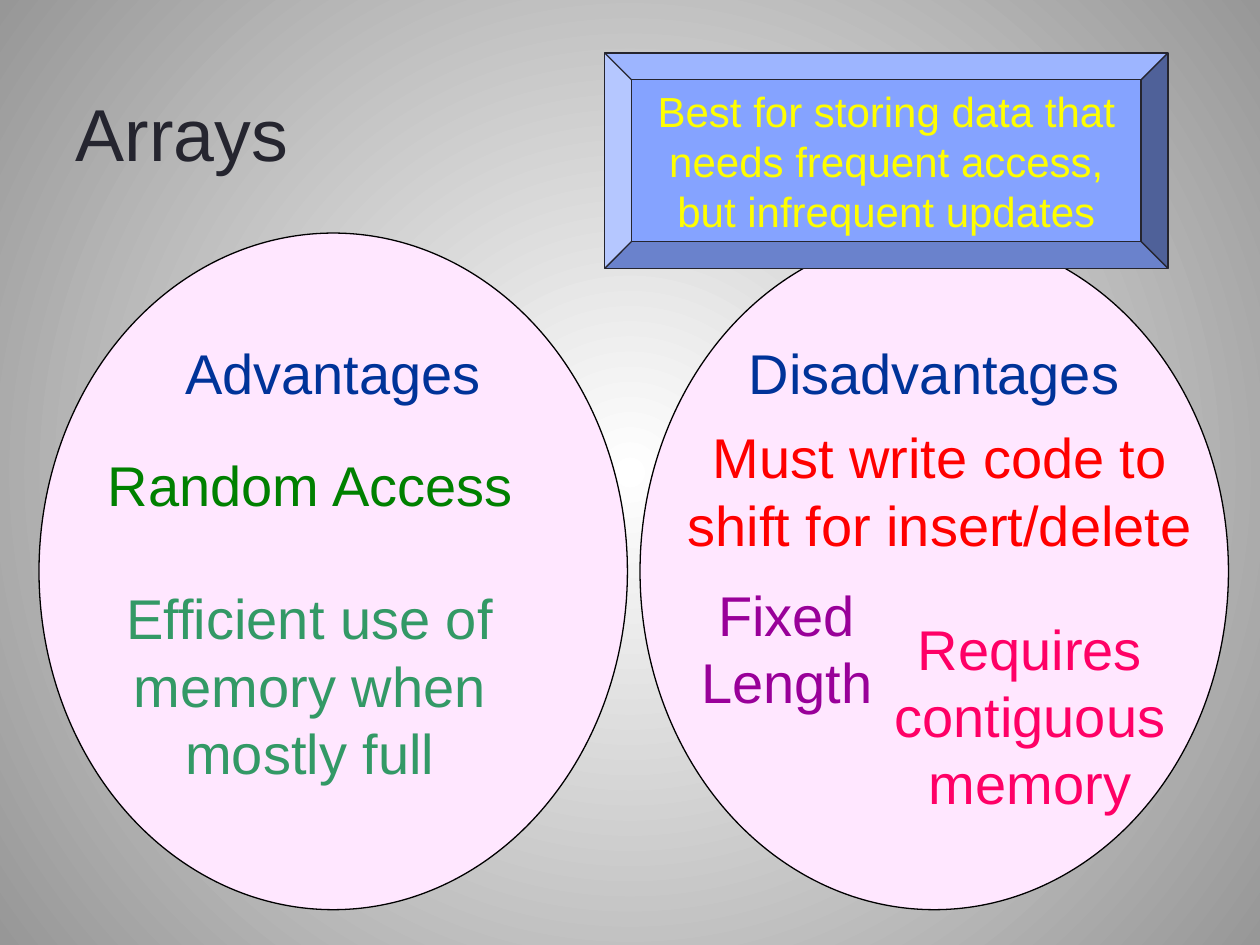
from lxml import etree
from pptx import Presentation
from pptx.dml.color import RGBColor
from pptx.enum.shapes import MSO_SHAPE
from pptx.enum.text import MSO_ANCHOR, PP_ALIGN
from pptx.oxml.ns import qn
from pptx.util import Inches, Pt

ELLIPSE, ROUNDED, BEVEL = MSO_SHAPE.OVAL, MSO_SHAPE.ROUNDED_RECTANGLE, MSO_SHAPE.BEVEL
TOP, MIDDLE = MSO_ANCHOR.TOP, MSO_ANCHOR.MIDDLE
LEFT, CENTER = PP_ALIGN.LEFT, PP_ALIGN.CENTER

COLORS = {
    "center": "FFFFFF", "edge": "979797", "ink": "25252F", "black": "000000",
    "lilac": "FFE7FF", "navy": "003399", "green": "008000", "sea": "339966",
    "red": "FF0000", "pink": "FF0066", "purple": "990099",
    "blue": "85A3FF", "yellow": "FFFF00",
}
FONT = "Arial"
TITLE = "Arrays"
TITLE_BOX = (0.5, 0.21, 8.83, 1.67)

CIRCLE_TOP, CIRCLE_WIDTH, CIRCLE_HEIGHT = 1.85, 4.67, 5.37
SIDES = [
    ("Advantages", 0.31, [
        ("Random Access", "green", (0.31, 3.5, 4.31, 0.69)),
        ("Efficient use of memory when mostly full", "sea", (0.25, 4.5, 4.42, 1.87)),
    ]),
    ("Disadvantages", 5.08, [
        ("Must write code to shift for insert/delete", "red", (5.25, 3.25, 4.42, 1.28)),
        ("Requires contiguous memory", "pink", (6.59, 4.74, 3.17, 1.87)),
        ("Fixed Length", "purple", (4.98, 4.5, 2.53, 1.28)),
    ]),
]
SUMMARY = "Best for storing data that needs frequent access, but infrequent updates"
SUMMARY_BOX = (4.8, 0.42, 4.47, 1.71)


def rgb(name):
    return RGBColor.from_string(COLORS[name])


def write(shape, text, color, size, anchor=MIDDLE, align=CENTER):
    frame = shape.text_frame
    frame.text = text
    frame.word_wrap = True
    frame.vertical_anchor = anchor
    paragraph = frame.paragraphs[0]
    paragraph.alignment = align
    font = paragraph.runs[0].font
    font.name, font.size = FONT, Pt(size)
    font.color.rgb = rgb(color)


def add_label(slide, kind, box, text, color, size=32, fill=None, line=None, anchor=MIDDLE):
    shape = slide.shapes.add_shape(kind, *map(Inches, box))
    shape.shadow.inherit = False
    if fill:
        shape.fill.solid()
        shape.fill.fore_color.rgb = rgb(fill)
        shape.line.color.rgb = rgb(line)
        shape.line.width = Pt(0.75)
    else:
        shape.fill.background()
        shape.line.fill.background()
    write(shape, text, color, size, anchor)


def paint_background(slide):
    fill = slide.background.fill
    fill.gradient()
    for stop, color in zip(fill.gradient_stops, ("center", "edge")):
        stop.color.rgb = rgb(color)
    linear = next(slide.element.iter(qn("a:lin")))
    gradient = linear.getparent()
    radial = etree.Element(qn("a:path"), {"path": "circle"})
    etree.SubElement(radial, qn("a:fillToRect"), {side: "50000" for side in "ltrb"})
    gradient.replace(linear, radial)


def main():
    deck = Presentation()
    deck.slide_width, deck.slide_height = Inches(10), Inches(7.5)
    slide = deck.slides.add_slide(deck.slide_layouts[5])
    paint_background(slide)

    title = slide.shapes.title
    title.left, title.top, title.width, title.height = map(Inches, TITLE_BOX)
    write(title, TITLE, "ink", 42, align=LEFT)

    for heading, left, points in SIDES:
        circle_box = (left, CIRCLE_TOP, CIRCLE_WIDTH, CIRCLE_HEIGHT)
        add_label(slide, ELLIPSE, circle_box, heading, "navy",
                  fill="lilac", line="black", anchor=TOP)
        for text, color, box in points:
            add_label(slide, ROUNDED, box, text, color)

    add_label(slide, BEVEL, SUMMARY_BOX, SUMMARY, "yellow", 24, "blue", "ink")
    deck.save("out.pptx")


if __name__ == "__main__":
    main()
